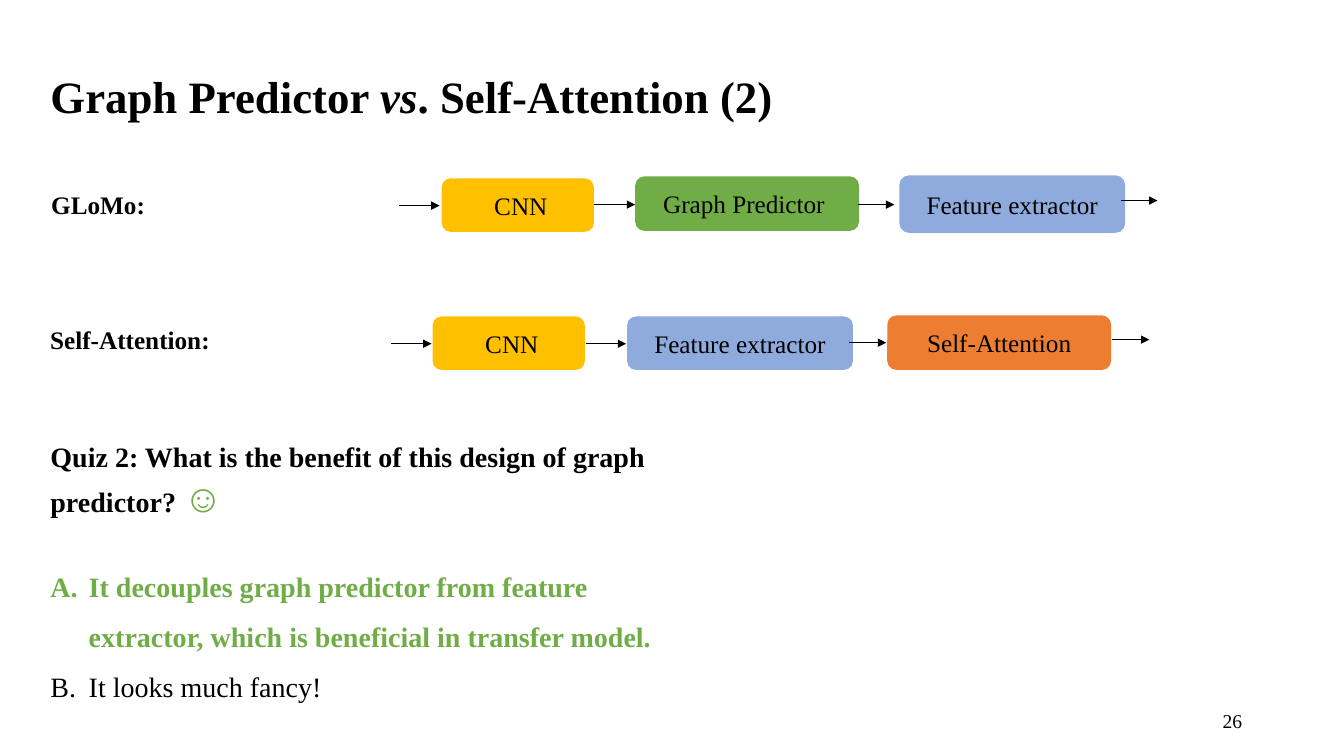
from dataclasses import dataclass

from lxml import etree
from pptx import Presentation
from pptx.dml.color import RGBColor
from pptx.enum.shapes import MSO_CONNECTOR, MSO_SHAPE
from pptx.enum.text import MSO_ANCHOR, MSO_AUTO_SIZE, PP_ALIGN
from pptx.oxml.ns import qn
from pptx.util import Pt

PX = 9144  # 100 px to the inch
ROUNDED = MSO_SHAPE.ROUNDED_RECTANGLE
STRAIGHT = MSO_CONNECTOR.STRAIGHT
LEFT, CENTER, RIGHT = PP_ALIGN.LEFT, PP_ALIGN.CENTER, PP_ALIGN.RIGHT
TOP, MIDDLE = MSO_ANCHOR.TOP, MSO_ANCHOR.MIDDLE
GROW, FIXED = MSO_AUTO_SIZE.SHAPE_TO_FIT_TEXT, MSO_AUTO_SIZE.NONE


@dataclass(frozen=True)
class Theme:
    font: str = "Times New Roman"
    ink: str = "000000"
    cnn: str = "FFC000"
    predictor: str = "70AD47"
    extractor: str = "8FAADC"
    attention: str = "ED7D31"
    answer: str = "70AD47"
    title: int = 32
    smiley: int = 28
    quiz: int = 20
    label: int = 18
    number: int = 14


THEME = Theme()

# Per row: label (left, top, width, text), nodes (left, top, width, height,
# text, colour) and arrows (from x, to x, y), relative to the row's box
ROWS = [
    ((40, 174, 1108, 57), {
        "label": (1, 9, 114, "GLoMo:"),
        "nodes": [
            (398, 3, 151, 53, " CNN", THEME.cnn),
            (590, 1, 222, 54, "Graph Predictor ", THEME.predictor),
            (852, 0, 224, 57, "Feature extractor", THEME.extractor),
        ],
        "arrows": [(356, 396, 30), (549, 590, 29), (811, 847, 29), (1072, 1108, 25)],
    }),
    ((40, 313, 1100, 54), {
        "label": (0, 4, 180, "Self-Attention:"),
        "nodes": [
            (389, 1, 151, 53, " CNN", THEME.cnn),
            (582, 1, 224, 53, "Feature extractor", THEME.extractor),
            (840, 0, 222, 54, "Self-Attention", THEME.attention),
        ],
        "arrows": [(348, 388, 28), (541, 581, 28), (802, 839, 27), (1063, 1100, 24)],
    }),
]


def emu(*lengths):
    return [length * PX for length in lengths]


def set_all(target, values):
    for name, value in values.items():
        setattr(target, name, value)


def place(shape, box):
    set_all(shape, dict(zip(("left", "top", "width", "height"), emu(*box))))


def write(para, text, size, color=THEME.ink, **style):
    span = para.add_run()
    span.text = text
    set_all(span.font, {"name": THEME.font, "size": Pt(size), **style})
    span.font.color.rgb = RGBColor.from_string(color)


def set_bullet(para, tag, indent=0, **attributes):
    properties = para._p.get_or_add_pPr()
    properties.set("marL", str(indent * PX))
    properties.set("indent", str(-indent * PX))
    if indent:
        etree.SubElement(properties, qn("a:buFont"), typeface=THEME.font)
    etree.SubElement(properties, qn(tag), **attributes)


def add_title(page, box):
    title = page.shapes.title
    place(title, box)
    set_all(title.text_frame, {"word_wrap": False, "auto_size": GROW, "vertical_anchor": TOP})
    para = title.text_frame.paragraphs[0]
    para.alignment = LEFT
    for text, italic in (("Graph Predictor ", False), ("vs", True),
                         (". Self-Attention (2)", False)):
        write(para, text, THEME.title, bold=True, italic=italic)


def add_text(page, box, text, size, align=LEFT, wrap=True, **style):
    shape = page.shapes.add_textbox(*emu(*box))
    set_all(shape.text_frame, {"word_wrap": wrap, "vertical_anchor": MIDDLE})
    para = shape.text_frame.paragraphs[0]
    para.alignment = align
    write(para, text, size, **style)


def add_node(page, box, text, color):
    node = page.shapes.add_shape(ROUNDED, *emu(*box))
    node.shadow.inherit = False
    node.fill.solid()
    node.fill.fore_color.rgb = RGBColor.from_string(color)
    node.line.fill.background()
    set_all(node.text_frame, {"word_wrap": True, "vertical_anchor": MIDDLE})
    para = node.text_frame.paragraphs[0]
    para.alignment = CENTER
    write(para, text, THEME.label)


def add_arrow(page, start, end, y):
    arrow = page.shapes.add_connector(STRAIGHT, *emu(start, y, end, y))
    arrow.line.color.rgb = RGBColor.from_string(THEME.ink)
    arrow.line.width = Pt(0.5)
    etree.SubElement(arrow.line._get_or_add_ln(), qn("a:tailEnd"), type="triangle")
    etree.SubElement(arrow._element.spPr, qn("a:effectLst"))


def add_pipeline(page, box, row):
    x, y = box[:2]
    left, top, width, text = row["label"]
    add_text(page, (x + left, y + top, width, 40), text, THEME.label, wrap=False, bold=True)
    for left, top, width, height, text, color in row["nodes"]:
        add_node(page, (x + left, y + top, width, height), text, color)
    for start, end, height in row["arrows"]:
        add_arrow(page, x + start, x + end, y + height)


def add_quiz(page, box):
    body = page.placeholders[1]
    place(body, box)
    frame = body.text_frame
    set_all(frame, {"word_wrap": True, "auto_size": FIXED, "vertical_anchor": TOP})

    # Question
    question = frame.paragraphs[0]
    set_bullet(question, "a:buNone")
    question.space_before = Pt(0)
    write(question, "Quiz 2: What is the benefit of this design of graph predictor? ",
          THEME.quiz, bold=True)
    write(question, "☺", THEME.smiley, THEME.answer, bold=True)

    # Lettered answers
    answers = (
        ("It decouples graph predictor from feature extractor, "
         "which is beneficial in transfer model.", THEME.answer, True, 23),
        ("It looks much fancy!", THEME.ink, False, 0),
    )
    for text, color, bold, gap in answers:
        para = frame.add_paragraph()
        set_bullet(para, "a:buAutoNum", 38, type="alphaUcPeriod")
        set_all(para, {"line_spacing": 1.5, "space_before": Pt(gap)})
        write(para, text, THEME.quiz, color, bold=bold)


def main():
    deck = Presentation()
    set_all(deck, dict(zip(("slide_width", "slide_height"), emu(1333, 750))))
    page = deck.slides.add_slide(deck.slide_layouts[1])
    add_title(page, (40, 63, 742, 64))
    for box, row in ROWS:
        add_pipeline(page, box, row)
    add_quiz(page, (40, 431, 627, 276))
    add_text(page, (942, 695, 300, 40), "26", THEME.number, RIGHT)
    deck.save("out.pptx")


if __name__ == "__main__":
    main()
